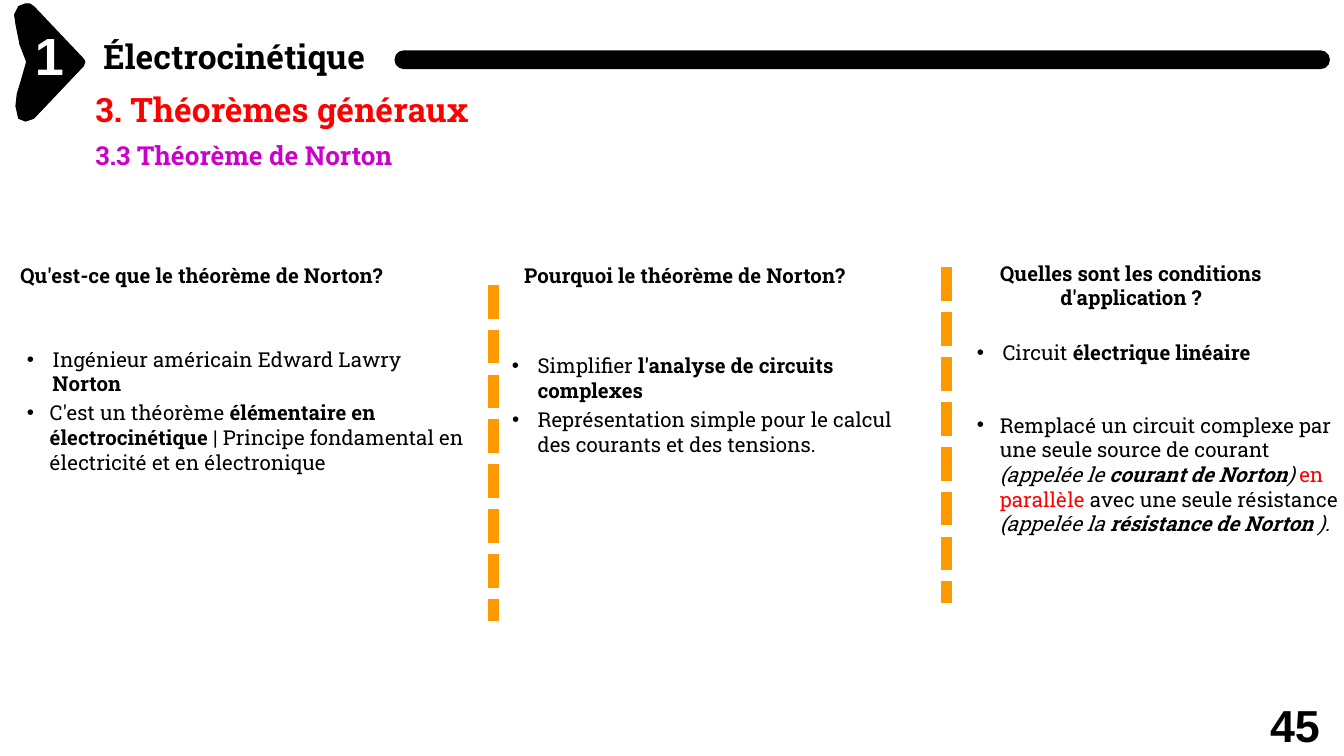
"""Build the slide on Norton's theorem: header, three question columns and two dividers."""
from dataclasses import dataclass

from lxml import etree
from pptx import Presentation
from pptx.dml.color import RGBColor
from pptx.enum.dml import MSO_LINE
from pptx.enum.shapes import MSO_CONNECTOR, MSO_SHAPE
from pptx.enum.text import PP_ALIGN
from pptx.oxml.ns import qn
from pptx.util import Emu, Inches, Pt

CENTER, LEFT = PP_ALIGN.CENTER, PP_ALIGN.LEFT
STRAIGHT, ROUNDED = MSO_CONNECTOR.STRAIGHT, MSO_SHAPE.ROUNDED_RECTANGLE
SYSTEM_DASH = MSO_LINE.SQUARE_DOT
BLANK_LAYOUT = 6
COLUMNS, ROWS = 100, 56.25
CELL = Inches(0.1)
BLACK, WHITE, RED, PURPLE, ORANGE = "000000", "FFFFFF", "FF0000", "CC00CC", "FF9900"
SLAB, SANS = "Roboto Slab", "Arial"
BOLD = {"bold": True}
ITALIC = {"italic": True}
BOLD_ITALIC = {**BOLD, **ITALIC}
IN_RED = {"color": RED}


@dataclass
class TextItem:
    """Text placed on the grid, made of (words, format) runs."""
    column: float
    row: float
    width: float
    height: float
    runs: list
    size: float = 11
    font: str = SLAB
    color: str = BLACK
    alignment: PP_ALIGN = LEFT
    hanging: float = 0


@dataclass
class Divider:
    """Vertical dashed line placed on the grid."""
    column: float
    row: float
    height: float = 25


ARROWHEAD = [
    (1.9, 0.3), (1.4, 0.5), (1.1, 1.1), (1.2, 1.8), (1.5, 3.3), (2, 4.6),
    (1.6, 6), (1.3, 7), (1.2, 7.9), (1.4, 8.8), (1.9, 9), (2.5, 8.8),
    (6.2, 4.9), (6.3, 4.6), (6.2, 4.4), (2.5, 0.5), (2.2, 0.3),
]

HEADER = [
    TextItem(7.7, 2.7, 20, 3.3, [("Électrocinétique", BOLD)], size=18),
    TextItem(2.6, 1.7, 2.4, 4.9, [("1", BOLD)], size=28, font=SANS, color=WHITE),
    TextItem(7.1, 6.6, 49, 3.3, [("3. Théorèmes généraux", BOLD)], size=18, color=RED),
    TextItem(7.1, 10.4, 48, 2.6, [("3.3 Théorème de Norton", BOLD)], size=14, color=PURPLE),
    TextItem(94.5, 51.9, 5.5, 3.4, [("45", BOLD)], size=24, font=SANS),
]

QUESTIONS = [
    TextItem(1.5, 19.6, 31.6, 2, [("Qu'est-ce que le théorème de Norton?", BOLD)]),
    TextItem(39, 19.6, 28, 2, [("Pourquoi le théorème de Norton?", BOLD)]),
    TextItem(73.2, 19.4, 21.9, 4,
             [("Quelles sont les conditions d'application ?", BOLD)], alignment=CENTER),
]

ANSWERS = [
    TextItem(1.9, 25.8, 31.1, 3.8, [
        ("Ingénieur américain Edward Lawry ", {}), ("Norton", BOLD)], hanging=2),
    TextItem(1.9, 29.8, 33, 5.7, [
        ("C'est un théorème ", {}), ("élémentaire en électrocinétique ", BOLD),
        ("| Principe fondamental en électricité et en électronique", {})], hanging=1.8),
    TextItem(38, 26.3, 30, 3.8, [
        ("Simplifier ", {}), ("l'analyse de circuits complexes", BOLD)], hanging=2),
    TextItem(38, 30.3, 29.2, 3.8, [
        ("Représentation simple pour le calcul des courants et des tensions.", {})],
        hanging=2),
    TextItem(72.6, 25.3, 27.4, 2, [
        ("Circuit ", {}), ("électrique linéaire", BOLD)], hanging=2),
    TextItem(72.6, 30.7, 27.4, 9.5, [
        ("Remplacé un circuit complexe par une seule source de courant ", {}),
        ("(appelée le ", ITALIC), ("courant de Norton", BOLD_ITALIC), (") ", ITALIC),
        ("en parallèle ", IN_RED), ("avec une seule résistance ", {}),
        ("(appelée la ", ITALIC), ("résistance de Norton ", BOLD_ITALIC),
        (").", ITALIC)], hanging=1.8),
]

DIVIDERS = [Divider(36.7, 21.2), Divider(70.4, 19.9)]


def cells(count: float) -> Emu:
    """Return the length of a number of grid cells."""
    return Emu(round(count * CELL))


def rgb(color: str) -> RGBColor:
    """Turn a hex string into a colour."""
    return RGBColor.from_string(color)


def add_bullet(paragraph, hanging: float) -> None:
    """Give a paragraph a round bullet with a hanging indent."""
    properties = paragraph._p.get_or_add_pPr()
    properties.set("marL", str(cells(hanging)))
    properties.set("indent", str(-cells(hanging - 0.1)))
    etree.SubElement(properties, qn("a:buFont")).set("typeface", SANS)
    etree.SubElement(properties, qn("a:buChar")).set("char", "•")


def add_text(slide, item: TextItem) -> None:
    """Draw one text item."""
    shape = slide.shapes.add_textbox(
        *map(cells, (item.column, item.row, item.width, item.height)))
    frame = shape.text_frame
    frame_format = {"word_wrap": True, "margin_left": 0, "margin_right": 0,
                    "margin_top": 0, "margin_bottom": 0}
    for name, value in frame_format.items():
        setattr(frame, name, value)
    paragraph = frame.paragraphs[0]
    paragraph.alignment = item.alignment
    if item.hanging:
        add_bullet(paragraph, item.hanging)
    for words, run_format in item.runs:
        run = paragraph.add_run()
        run.text = words
        values = {"name": item.font, "size": Pt(item.size), "color": item.color, **run_format}
        run.font.color.rgb = rgb(values.pop("color"))
        for name, value in values.items():
            setattr(run.font, name, value)


def paint(shape, color: str) -> None:
    """Give a shape one colour for fill and line, without shadow."""
    shape.shadow.inherit = False
    shape.fill.solid()
    shape.fill.fore_color.rgb = rgb(color)
    shape.line.color.rgb = rgb(color)
    shape.line.width = Pt(0.75)


def add_arrowhead(slide, points: list) -> None:
    """Draw the chapter marker from grid points."""
    corners = [(cells(column), cells(row)) for column, row in points]
    builder = slide.shapes.build_freeform(*corners[0])
    builder.add_line_segments(corners[1:], close=True)
    paint(builder.convert_to_shape(), BLACK)


def add_title_bar(slide) -> None:
    """Draw the round-ended bar beside the title."""
    bar = slide.shapes.add_shape(ROUNDED, *map(cells, (29.4, 3.8, 69.5, 1.3)))
    bar.adjustments[0] = 0.5
    paint(bar, BLACK)


def add_divider(slide, divider: Divider) -> None:
    """Draw one dashed divider."""
    ends = (divider.column, divider.row, divider.column, divider.row + divider.height)
    connector = slide.shapes.add_connector(STRAIGHT, *map(cells, ends))
    connector.line.color.rgb = rgb(ORANGE)
    connector.line.width = Pt(6)
    connector.line.dash_style = SYSTEM_DASH
    etree.SubElement(connector._element.spPr, qn("a:effectLst"))


def main() -> None:
    """Build and save the presentation."""
    presentation = Presentation()
    presentation.slide_width, presentation.slide_height = cells(COLUMNS), cells(ROWS)
    slide = presentation.slides.add_slide(presentation.slide_layouts[BLANK_LAYOUT])
    add_arrowhead(slide, ARROWHEAD)
    add_title_bar(slide)
    for divider in DIVIDERS:
        add_divider(slide, divider)
    for item in HEADER + QUESTIONS + ANSWERS:
        add_text(slide, item)
    presentation.save("out.pptx")


if __name__ == "__main__":
    main()
